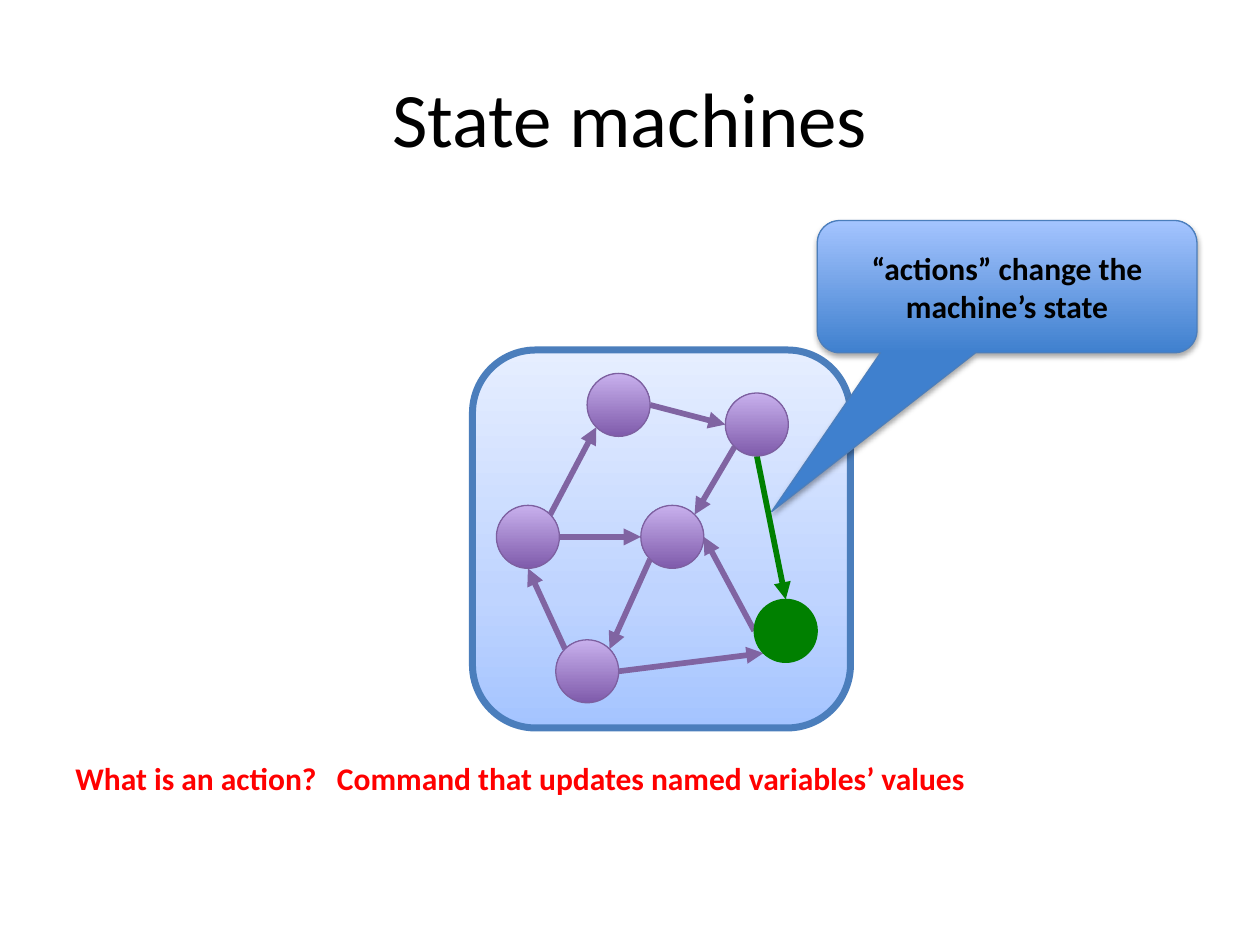
"""Build the State machines slide."""
from copy import deepcopy
from dataclasses import dataclass
from math import cos, radians, sin

from lxml import etree
from pptx import Presentation
from pptx.dml.color import RGBColor
from pptx.enum.shapes import MSO_CONNECTOR, MSO_SHAPE
from pptx.enum.text import MSO_ANCHOR, MSO_AUTO_SIZE, PP_ALIGN
from pptx.oxml.ns import qn
from pptx.util import Pt

STRAIGHT = MSO_CONNECTOR.STRAIGHT
OVAL, PANEL = MSO_SHAPE.OVAL, MSO_SHAPE.ROUNDED_RECTANGLE
CALLOUT = MSO_SHAPE.ROUNDED_RECTANGULAR_CALLOUT
MIDDLE, CENTER, LEFT = MSO_ANCHOR.MIDDLE, PP_ALIGN.CENTER, PP_ALIGN.LEFT
FIT_SHAPE = MSO_AUTO_SIZE.SHAPE_TO_FIT_TEXT
DIAMETER = 36
ANGLES = {"E": 0, "SE": 45, "S": 90, "SW": 135, "W": 180, "NW": 225, "N": 270, "NE": 315}


@dataclass(frozen=True)
class Theme:
    font: str = "Calibri"
    title_size: int = 44
    text_size: int = 18
    text: str = "000000"
    question: str = "FF0000"
    active: str = "008000"
    edge: str = "8064A2"
    state_line: str = "7D60A0"
    box_line: str = "4B7EBC"
    state_fill: tuple = ((0, "7F5BAB"), (1, "C8B0ED"))
    panel_fill: tuple = ((0, "A4C4FF"), (0.35, "BFD4FF"), (1, "E6EEFF"))
    callout_fill: tuple = ((0, "3F80CE"), (1, "A4C4FF"))
    thin: float = 0.75
    edge_width: float = 3.25
    panel_width: float = 4


@dataclass(frozen=True)
class State:
    x: float
    y: float
    active: bool = False

    def site(self, side: str) -> tuple:
        """Return the point on the circle that faces the given side."""
        a = radians(ANGLES[side])
        return Pt(self.x + DIAMETER / 2 * cos(a)), Pt(self.y + DIAMETER / 2 * sin(a))


@dataclass(frozen=True)
class Edge:
    start: str
    start_side: str
    end: str
    end_side: str


THEME = Theme()
STATES = {
    "left": State(301.7, 306.8),
    "bottom": State(335.6, 383.6),
    "middle": State(384.2, 306.8),
    "top": State(353.5, 231.4),
    "right": State(432.5, 242.6),
    "target": State(449, 360.5, active=True),
}
EDGES = (
    Edge("left", "NE", "top", "SW"),
    Edge("bottom", "E", "target", "SW"),
    Edge("right", "SW", "middle", "NE"),
    Edge("left", "E", "middle", "W"),
    Edge("target", "W", "middle", "E"),
    Edge("middle", "SW", "bottom", "NE"),
    Edge("bottom", "NW", "left", "S"),
    Edge("top", "E", "right", "W"),
)
ACTION = Edge("right", "S", "target", "N")


def write(tf, text: str, *, size: float, color: str, bold: bool = False, align=LEFT) -> None:
    """Put one formatted paragraph in a text frame."""
    p = tf.paragraphs[0]
    p.alignment = align
    r = p.add_run()
    r.text = text
    r.font.name, r.font.size, r.font.bold = THEME.font, Pt(size), bold
    r.font.color.rgb = RGBColor.from_string(color)


def paint(fill, stops: tuple) -> None:
    """Fill with an upward gradient made of (position, colour) stops."""
    fill.gradient()
    fill.gradient_angle = 90
    gs_list = fill.gradient_stops[0]._gs.getparent()
    while len(gs_list) < len(stops):
        gs_list.append(deepcopy(gs_list[0]))
    for stop, (position, color) in zip(fill.gradient_stops, stops):
        stop.position = position
        stop.color.rgb = RGBColor.from_string(color)


def add_box(s, kind, box: tuple, fill, line: str, width: float):
    """Add a preset shape with a solid or gradient fill."""
    sp = s.shapes.add_shape(kind, *map(Pt, box))
    sp.shadow.inherit = False
    if isinstance(fill, str):
        sp.fill.solid()
        sp.fill.fore_color.rgb = RGBColor.from_string(fill)
    else:
        paint(sp.fill, fill)
    sp.line.color.rgb = RGBColor.from_string(line)
    sp.line.width = Pt(width)
    return sp


def add_state(s, state: State) -> None:
    """Draw a state as a circle."""
    fill = THEME.active if state.active else THEME.state_fill
    line = THEME.active if state.active else THEME.state_line
    box = (state.x - DIAMETER / 2, state.y - DIAMETER / 2, DIAMETER, DIAMETER)
    add_box(s, OVAL, box, fill, line, THEME.thin)


def add_edge(s, edge: Edge, color: str) -> None:
    """Draw an arrow between two states."""
    start = STATES[edge.start].site(edge.start_side)
    end = STATES[edge.end].site(edge.end_side)
    cxn = s.shapes.add_connector(STRAIGHT, *start, *end)
    cxn.line.color.rgb = RGBColor.from_string(color)
    cxn.line.width = Pt(THEME.edge_width)
    etree.SubElement(cxn.line._get_or_add_ln(), qn("a:tailEnd"), type="triangle")
    etree.SubElement(cxn._element.spPr, qn("a:effectLst"))


def add_shadow(sp) -> None:
    """Give a shape a soft shadow below it."""
    effects = sp._element.spPr.find(qn("a:effectLst"))
    shadow = etree.SubElement(effects, qn("a:outerShdw"), blurRad=str(Pt(3.1)),
                              dist=str(Pt(1.8)), dir="5400000", rotWithShape="0")
    color = etree.SubElement(shadow, qn("a:srgbClr"), val=THEME.text)
    etree.SubElement(color, qn("a:alpha"), val="35000")


def add_callout(s, text: str) -> None:
    """Draw the callout that points at the action."""
    sp = add_box(s, CALLOUT, (467, 126, 217, 75.6), THEME.callout_fill,
                 THEME.box_line, THEME.thin)
    for i, value in enumerate((-0.62, 1.7, 0.17)):
        sp.adjustments[i] = value
    add_shadow(sp)
    tf = sp.text_frame
    tf.word_wrap, tf.vertical_anchor = True, MIDDLE
    write(tf, text, size=THEME.text_size, color=THEME.text, bold=True, align=CENTER)


def add_label(s, text: str, box: tuple) -> None:
    """Add a one-line label in the question colour."""
    tf = s.shapes.add_textbox(*map(Pt, box)).text_frame
    tf.word_wrap, tf.auto_size = False, FIT_SHAPE
    write(tf, text, size=THEME.text_size, color=THEME.question, bold=True)


def main() -> None:
    """Build and save the slide."""
    prs = Presentation()
    prs.slide_width, prs.slide_height = Pt(720), Pt(540)
    s = prs.slides.add_slide(prs.slide_layouts[5])
    title = s.shapes.title
    title.left, title.top, title.width, title.height = map(Pt, (36, 21.6, 648, 90))
    title.text_frame.vertical_anchor = MIDDLE
    write(title.text_frame, "State machines", size=THEME.title_size,
          color=THEME.text, align=CENTER)

    add_box(s, PANEL, (270, 200, 216, 216), THEME.panel_fill,
            THEME.box_line, THEME.panel_width)
    for edge in EDGES:
        add_edge(s, edge, THEME.edge)
    add_callout(s, "“actions” change the machine’s state")
    add_label(s, "What is an action?", (36, 430, 154, 29))
    add_label(s, "Command that updates named variables’ values", (185.5, 430, 384.5, 29))
    add_edge(s, ACTION, THEME.active)
    for state in STATES.values():
        add_state(s, state)
    prs.save("out.pptx")


if __name__ == "__main__":
    main()
